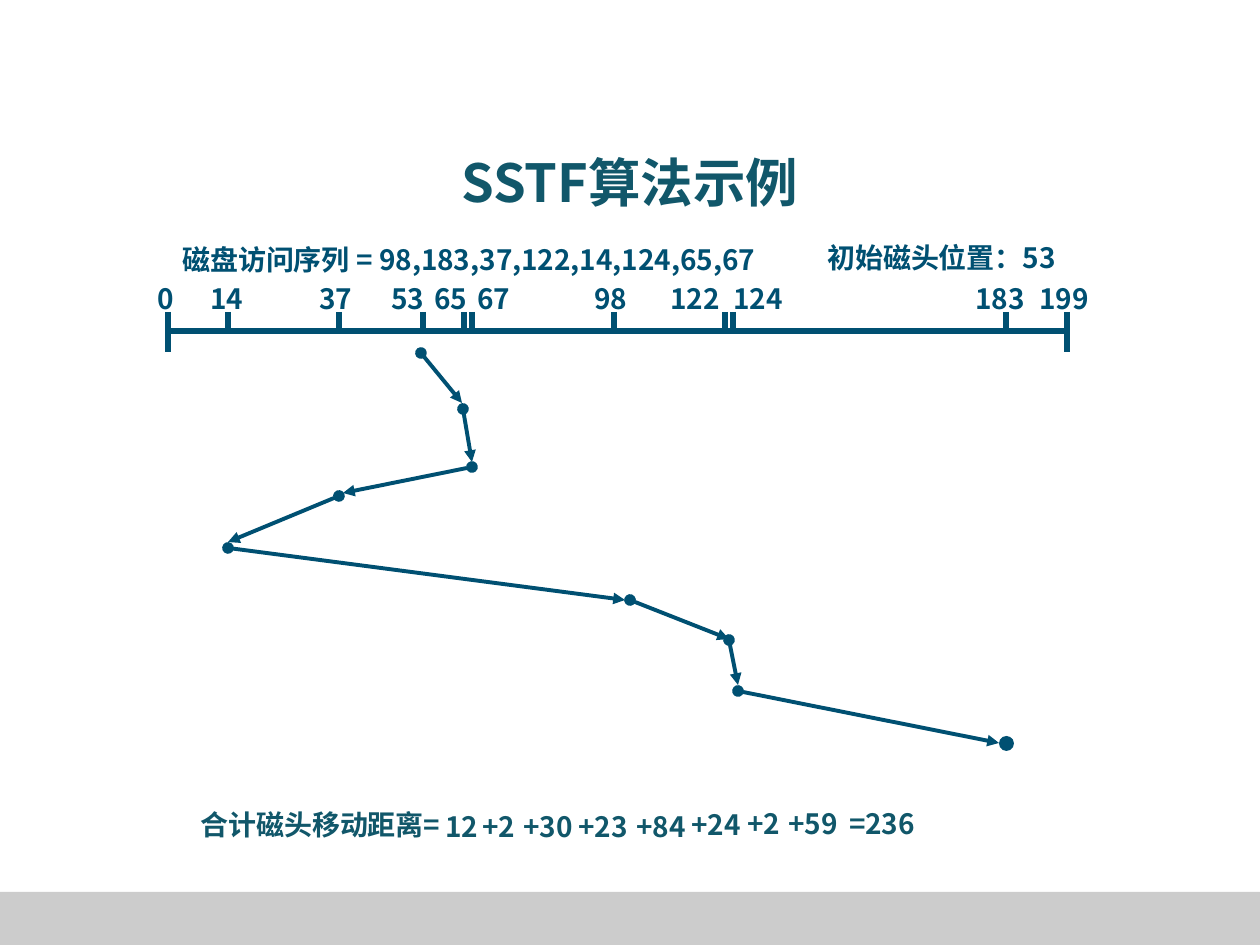
import pptx
import pptx.util
import pptx.dml.color
import pptx.enum.shapes
import pptx.enum.text
import pptx.oxml.ns
import lxml.etree

PX = 914400 / 126
FONT = "Noto Sans CJK SC"
BLUE = "005072"
TEAL = "11576A"
ANCHOR = pptx.enum.text.MSO_ANCHOR
ALIGN = pptx.enum.text.PP_ALIGN
SHAPE = pptx.enum.shapes.MSO_SHAPE
qn = pptx.oxml.ns.qn


def hex_color(value):
    return pptx.dml.color.RGBColor.from_string(value)


def px(*lengths):
    return [round(length * PX) for length in lengths]


presentation = pptx.Presentation()
presentation.slide_width, presentation.slide_height = px(1260, 945)
slide = presentation.slides.add_slide(presentation.slide_layouts[5])

footer_bar = slide.shapes.add_shape(SHAPE.RECTANGLE, *px(0, 892, 1260, 53))
last_stop = slide.shapes.add_shape(SHAPE.OVAL, *px(999, 736, 15, 15))
for shape, color in [(footer_bar, "CCCCCC"), (last_stop, BLUE)]:
    shape.shadow.inherit = False
    shape.fill.solid()
    shape.fill.fore_color.rgb = hex_color(color)
    shape.line.fill.background()

title = slide.shapes.title
title.left, title.top, title.width, title.height = px(63, 146, 1134, 71)
title.text_frame.text = "SSTF算法示例"
title.text_frame.vertical_anchor = ANCHOR.MIDDLE
texts = [(title, 30, TEAL, ALIGN.CENTER)]

captions = [
    ("磁盘访问序列 = 98,183,37,122,14,124,65,67", 170, 236, 622),
    ("初始磁头位置：53", 815, 234, 266),
]
track_labels = [
    ("0", 145), ("14", 198), ("37", 307), ("53", 379), ("65", 422), ("67", 465),
    ("98", 582), ("122", 658), ("124", 721), ("183", 963), ("199", 1027),
]
for text, left in track_labels:
    captions.append((text, left, 275, 25 + 18 * len(text)))
distance_terms = [
    ("合计磁头移动距离=", 184, 801, 273),
    ("12", 432, 803, 60), ("+2", 467, 803, 64), ("+30", 507, 803, 82),
    ("+23", 562, 803, 82), ("+84", 620, 803, 82), ("+24", 675, 801, 82),
    ("+2", 732, 800, 64), ("+59", 772, 800, 82), ("=236", 832, 800, 100),
]
for items, color, alignment, anchor in [
    (captions, BLUE, ALIGN.LEFT, ANCHOR.TOP),
    (distance_terms, TEAL, ALIGN.CENTER, ANCHOR.MIDDLE),
]:
    for text, left, top, width in items:
        box = slide.shapes.add_textbox(*px(left, top, width, 47))
        box.text_frame.text = text
        box.text_frame.word_wrap = False
        box.text_frame.auto_size = pptx.enum.text.MSO_AUTO_SIZE.SHAPE_TO_FIT_TEXT
        box.text_frame.vertical_anchor = anchor
        texts.append((box, 16, color, alignment))

for shape, size, color, alignment in texts:
    paragraph = shape.text_frame.paragraphs[0]
    paragraph.alignment = alignment
    paragraph.font.size = pptx.util.Pt(size)
    paragraph.font.bold = True
    paragraph.font.color.rgb = hex_color(color)
    paragraph.font.name = FONT
    properties = paragraph.font._element
    lxml.etree.SubElement(properties, qn("a:ea")).set("typeface", FONT)

axis_left, axis_right, axis_y, tick_top = 168, 1067, 331, 312
lines = [((axis_right, axis_y), (axis_left, axis_y), 3, False)]
for x in (axis_left, axis_right):
    lines.append(((x, tick_top), (x, 352), 3, False))
for x in (228, 339, 423, 464, 472, 614, 725, 733, 1006):
    lines.append(((x, tick_top), (x, axis_y), 3, False))
head_moves = [
    ((421, 353), (462, 403)),
    ((463, 409), (472, 462)),
    ((472, 467), (343, 493)),
    ((339, 496), (228, 542)),
    ((228, 548), (625, 600)),
    ((630, 600), (729, 639)),
    ((729, 640), (738, 685)),
    ((738, 691), (999, 743)),
]
for start, end in head_moves:
    lines.append((start, end, 2.25, True))

for start, end, width, is_move in lines:
    connector = slide.shapes.add_connector(
        pptx.enum.shapes.MSO_CONNECTOR.STRAIGHT, *px(*start, *end)
    )
    connector.line.color.rgb = hex_color(BLUE)
    connector.line.width = pptx.util.Pt(width)
    if is_move:
        outline = connector.line._get_or_add_ln()
        lxml.etree.SubElement(outline, qn("a:headEnd")).set("type", "oval")
        lxml.etree.SubElement(outline, qn("a:tailEnd")).set("type", "triangle")
    lxml.etree.SubElement(connector._element.spPr, qn("a:effectLst"))

presentation.save("out.pptx")
